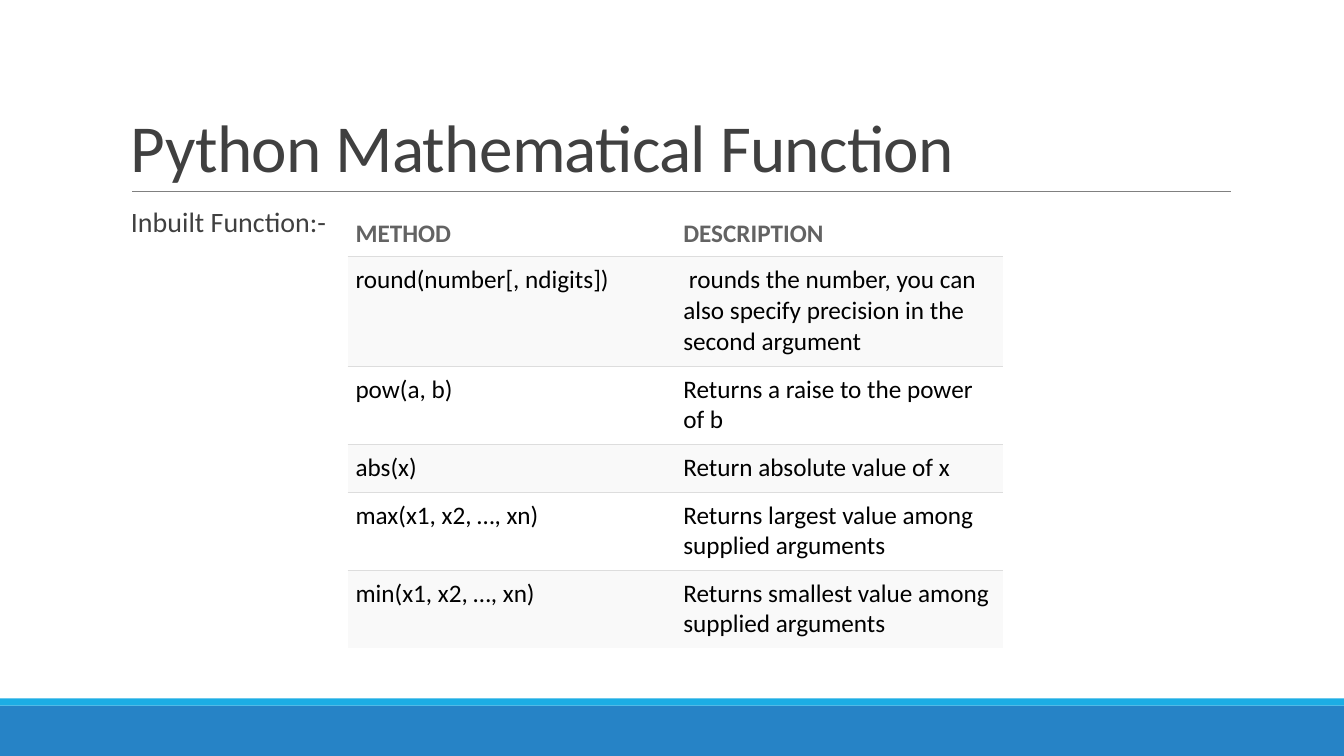
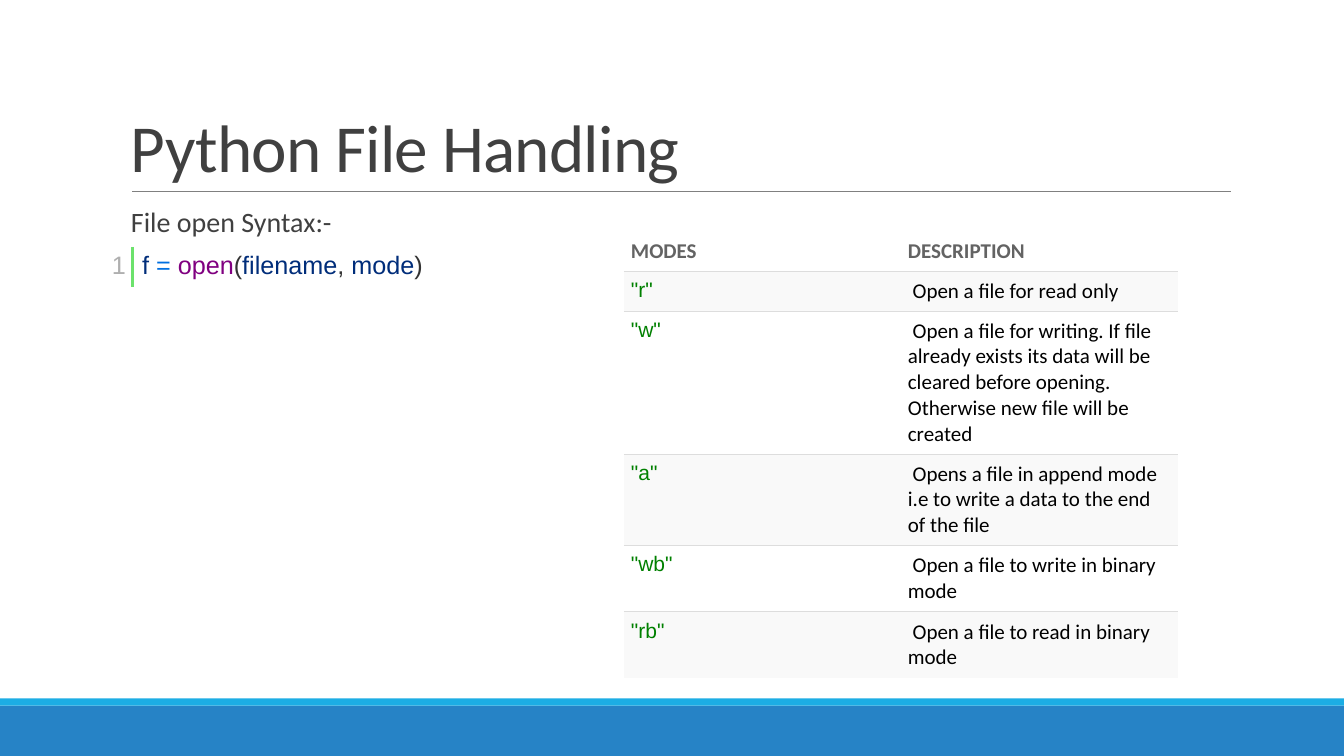
from lxml.etree import SubElement
from pptx import Presentation
from pptx.dml.color import RGBColor
from pptx.enum.shapes import MSO_CONNECTOR, MSO_SHAPE
from pptx.enum.text import MSO_ANCHOR, PP_ALIGN
from pptx.oxml import parse_xml
from pptx.oxml.ns import nsdecls, qn
from pptx.util import Cm, Pt

WIDTH, HEIGHT = 33.87, 19.05
INK, HEADING, BLACK, WHITE = "404040", "636363", "000000", "FFFFFF"
BLUE, CYAN, RULE = "2683C6", "1CADE4", "808080"
STRIPE, GRID = "F9F9F9", "DDDDDD"
GREEN, MARKER, NUMBER = "008000", "6CE26C", "AFAFAF"
NAME, OPERATOR, CALL, MARK = "002D7A", "006FE0", "800080", "333333"
PLAIN_TABLE = "{2D5ABB26-0587-4C30-8999-92F81FD0307C}"

BANDS = [(17.78, 1.27, BLUE), (17.6, 0.18, CYAN)]

FUNCTIONS = [
    ("METHOD", "DESCRIPTION"),
    ("round(number[, ndigits])",
     " rounds the number, you can also specify precision in the second argument"),
    ("pow(a, b)", "Returns a raise to the power of b"),
    ("abs(x)", "Return absolute value of x"),
    ("max(x1, x2, …, xn)", "Returns largest value among supplied arguments"),
    ("min(x1, x2, …, xn)", "Returns smallest value among supplied arguments"),
]
MODES = [
    ("MODES", "DESCRIPTION"),
    ('"r"', " Open a file for read only"),
    ('"w"', " Open a file for writing. If file already exists its data will be "
            "cleared before opening. Otherwise new file will be created"),
    ('"a"', " Opens a file in append mode i.e to write a data to the end of the file"),
    ('"wb"', " Open a file to write in binary mode"),
    ('"rb"', " Open a file to read in binary mode"),
]
CODE = [("f", NAME), (" = ", OPERATOR), ("open", CALL), ("(", MARK),
        ("filename", NAME), (", ", MARK), ("mode", NAME), (")", MARK)]

SLIDES = [
    dict(title="Python Mathematical Function", lead="Inbuilt Function:-",
         table=dict(rows=FUNCTIONS, left=8.76, top=5.27, column=8.26,
                    heights=[1.2, 2.76, 1.97, 1.2, 1.97, 1.97], size=18, inset=0.2)),
    dict(title="Python File Handling", lead="File open Syntax:-", code=CODE,
         table=dict(rows=MODES, left=15.72, top=5.82, column=6.98,
                    heights=[1.01, 1.01, 3.6, 2.31, 1.67, 1.67], size=15, inset=0.18,
                    key_font="Arial", key_color=GREEN)),
]


def color(value):
    return RGBColor.from_string(value)


def write(frame, text, font="Calibri", size=18, ink=BLACK, bold=False,
          align=PP_ALIGN.LEFT, leading=None, tracking=None):
    frame.word_wrap = True
    para = frame.paragraphs[0]
    para.alignment = align
    if leading:
        para.line_spacing = leading
    for part, part_ink in [(text, ink)] if isinstance(text, str) else text:
        span = para.add_run()
        span.text = part
        span.font.name = font
        span.font.size = Pt(size)
        span.font.bold = bold
        span.font.color.rgb = color(part_ink)
        if tracking:
            span.font._element.set("spc", str(tracking))


def add_text(page, text, top, height, anchor, **style):
    box = page.shapes.add_textbox(Cm(3.05), Cm(top), Cm(27.94), Cm(height))
    box.text_frame.vertical_anchor = anchor
    write(box.text_frame, text, **style)


def add_frame(page, title, lead):
    for top, height, fill in BANDS:
        band = page.shapes.add_shape(MSO_SHAPE.RECTANGLE, 0, Cm(top), Cm(WIDTH), Cm(height))
        band.shadow.inherit = False
        band.fill.solid()
        band.fill.fore_color.rgb = color(fill)
        band.line.fill.background()
    rule = page.shapes.add_connector(
        MSO_CONNECTOR.STRAIGHT, Cm(3.33), Cm(4.82), Cm(31.01), Cm(4.82))
    rule.line.color.rgb = color(RULE)
    rule.line.width = Pt(0.5)
    SubElement(rule._element.spPr, qn("a:effectLst"))
    add_text(page, title, 0.79, 4.04, MSO_ANCHOR.BOTTOM,
             size=48, ink=INK, leading=0.85, tracking=-50)
    add_text(page, lead, 5.13, 11.18, MSO_ANCHOR.TOP, size=20, ink=INK, leading=0.9)


def add_grid(page, left, top, widths, heights):
    holder = page.shapes.add_table(len(heights), len(widths), Cm(left), Cm(top),
                                   Cm(sum(widths)), Cm(sum(heights)))
    table = holder.table
    table.first_row = table.horz_banding = False
    table._tbl.tblPr.find(qn("a:tableStyleId")).text = PLAIN_TABLE
    for column, width in zip(table.columns, widths):
        column.width = Cm(width)
    for row, height in zip(table.rows, heights):
        row.height = Cm(height)
    return table


def format_cell(cell, fill, insets):
    cell.fill.solid()
    cell.fill.fore_color.rgb = color(fill)
    cell.margin_left, cell.margin_top, cell.margin_right, cell.margin_bottom = map(Cm, insets)


def add_border(cell, side, ink, width):
    cell._tc.get_or_add_tcPr().insert(0, parse_xml(
        f'<a:ln{side} {nsdecls("a")} w="{Pt(width)}"><a:solidFill>'
        f'<a:srgbClr val="{ink}"/></a:solidFill></a:ln{side}>'))


def add_reference(page, rows, left, top, column, heights, size, inset,
                  key_font="Calibri", key_color=BLACK):
    table = add_grid(page, left, top, [column] * 2, heights)
    body_styles = [dict(font=key_font, ink=key_color), {}]
    for r, texts in enumerate(rows):
        for c, text in enumerate(texts):
            cell = table.cell(r, c)
            format_cell(cell, STRIPE if r % 2 else WHITE, [inset] * 4)
            cell.vertical_anchor = MSO_ANCHOR.TOP if r else MSO_ANCHOR.BOTTOM
            style = body_styles[c] if r else dict(ink=HEADING, bold=True)
            write(cell.text_frame, text, size=size, **style)
            if r < len(rows) - 1:
                add_border(cell, "B", GRID, 0.75)


def add_code(page, code):
    table = add_grid(page, 2.54, 6.22, [0.79, 15.82], [1])
    number, line = table.cell(0, 0), table.cell(0, 1)
    for cell in (number, line):
        format_cell(cell, WHITE, (0.25, 0.13, 0.13, 0.13))
    write(number.text_frame, "1", font="Arial", ink=NUMBER, align=PP_ALIGN.CENTER)
    write(line.text_frame, code, font="Arial")
    add_border(number, "R", MARKER, 2.25)
    add_border(line, "L", MARKER, 2.25)


def main():
    deck = Presentation()
    deck.slide_width, deck.slide_height = Cm(WIDTH), Cm(HEIGHT)
    for content in SLIDES:
        page = deck.slides.add_slide(deck.slide_layouts[6])
        add_frame(page, content["title"], content["lead"])
        if "code" in content:
            add_code(page, content["code"])
        add_reference(page, **content["table"])
    deck.save("out.pptx")


if __name__ == "__main__":
    main()
